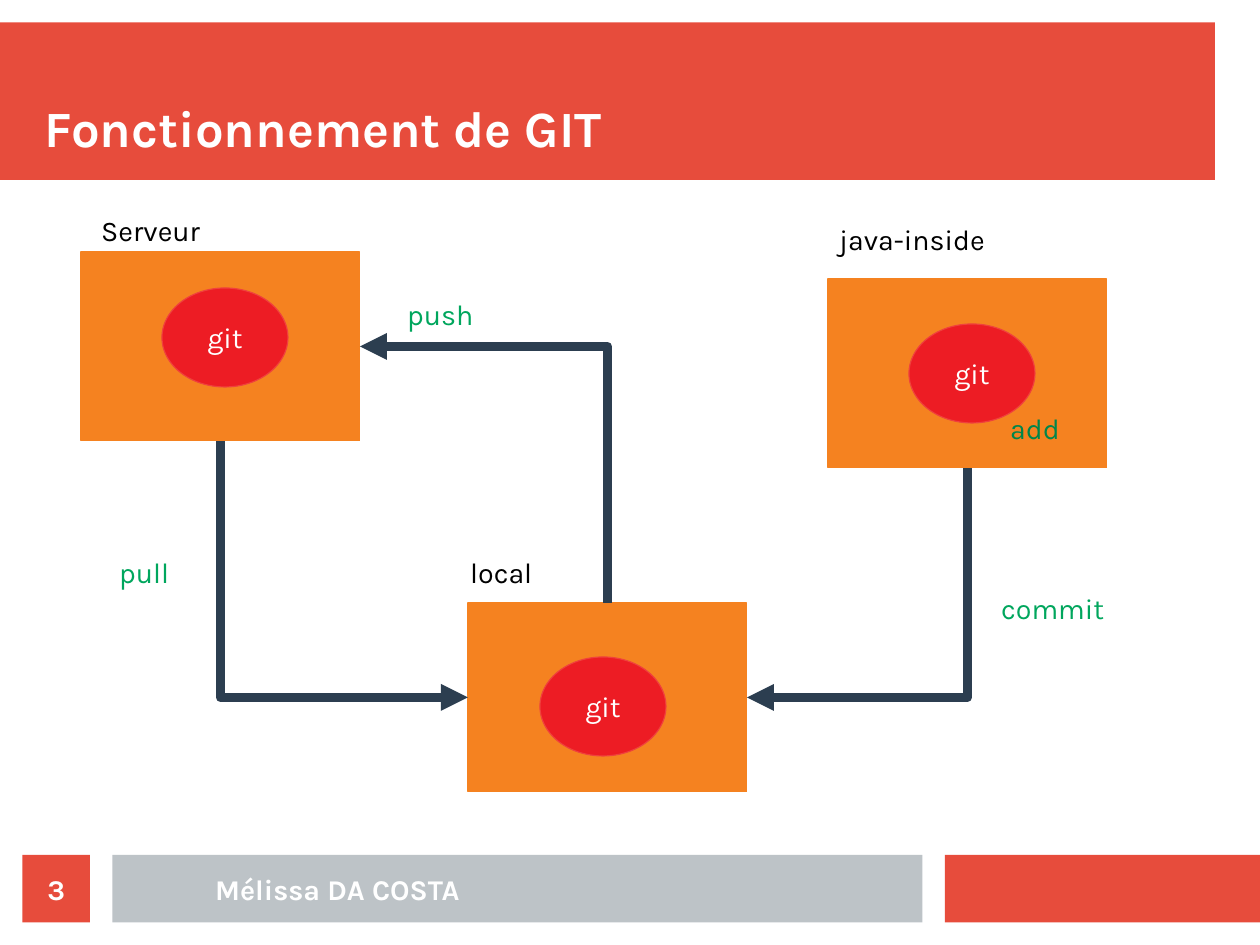
import pptx
import pptx.util
import pptx.dml.color
import pptx.enum.shapes
import pptx.enum.text
import pptx.oxml.ns
from dataclasses import dataclass
from lxml import etree

PX = 3600
SHAPE = pptx.enum.shapes.MSO_SHAPE
ALIGN = pptx.enum.text.PP_ALIGN
ANCHOR = pptx.enum.text.MSO_ANCHOR
AUTO = pptx.enum.text.MSO_AUTO_SIZE
qn = pptx.oxml.ns.qn


@dataclass(frozen=True)
class Theme:
    font: str = "Karla"
    title_size: int = 32
    body_size: int = 18
    arrow_width: float = 5.67
    banner: str = "E74C3C"
    footer: str = "BDC3C7"
    box: str = "F58220"
    git: str = "ED1C24"
    git_line: str = "EF413D"
    arrow: str = "2C3E50"
    command: str = "00A65D"
    command_on_box: str = "00864B"
    dark: str = "000000"
    light: str = "FFFFFF"


THEME = Theme()


def px(*values):
    return [pptx.util.Emu(v * PX) for v in values]


def rgb(color):
    return pptx.dml.color.RGBColor.from_string(color)


def write(shape, text, *, size=THEME.body_size, color=THEME.light, bold=False,
          align=ALIGN.LEFT, anchor=ANCHOR.TOP, inset=(25, 13), wrap=True,
          auto_size=AUTO.NONE):
    tf = shape.text_frame
    tf.word_wrap = wrap
    tf.auto_size = auto_size
    tf.vertical_anchor = anchor
    tf.margin_left = tf.margin_right = px(inset[0])[0]
    tf.margin_top = tf.margin_bottom = px(inset[1])[0]
    p = tf.paragraphs[0]
    p.alignment = align
    r = p.add_run()
    r.text = text
    r.font.name = THEME.font
    r.font.size = pptx.util.Pt(size)
    r.font.bold = bold
    r.font.color.rgb = rgb(color)


def add_block(s, kind, box, fill, line=None):
    sp = s.shapes.add_shape(kind, *px(*box))
    sp.shadow.inherit = False
    sp.fill.solid()
    sp.fill.fore_color.rgb = rgb(fill)
    if line:
        sp.line.color.rgb = rgb(line)
        sp.line.width = 0
    else:
        sp.line.fill.background()
    return sp


def add_label(s, text, box, color):
    sp = s.shapes.add_textbox(*px(*box))
    write(sp, text, color=color, auto_size=AUTO.SHAPE_TO_FIT_TEXT)


def add_repository(s, left, top, git_left, git_top):
    add_block(s, SHAPE.RECTANGLE, (left, top, 620, 420), THEME.box, THEME.box)
    sp = add_block(s, SHAPE.OVAL, (git_left, git_top, 280, 220), THEME.git, THEME.git_line)
    write(sp, "git", align=ALIGN.CENTER, anchor=ANCHOR.MIDDLE, wrap=False)


def add_elbow_arrow(s, source, target):
    elbow = pptx.enum.shapes.MSO_CONNECTOR.ELBOW
    cx = s.shapes.add_connector(elbow, *px(*target, *source))
    cx.line.color.rgb = rgb(THEME.arrow)
    cx.line.width = pptx.util.Pt(THEME.arrow_width)
    sp_pr = cx.element.spPr
    sp_pr.find(qn("a:prstGeom")).set("prst", "bentConnector2")
    ln = sp_pr.find(qn("a:ln"))
    etree.SubElement(ln, qn("a:round"))
    etree.SubElement(ln, qn("a:headEnd"), type="triangle")
    etree.SubElement(sp_pr, qn("a:effectLst"))


def add_title(s, text):
    title = s.shapes.title
    title.left, title.top, title.width, title.height = px(100, 100, 2600, 250)
    write(title, text, size=THEME.title_size, bold=True, anchor=ANCHOR.BOTTOM, inset=(0, 0))
    title.element.getparent().append(title.element)


def add_footer(s, author, number):
    sp = s.shapes.add_textbox(*px(300, 1900, 900, 150))
    page = add_block(s, SHAPE.RECTANGLE, (50, 1900, 150, 150), THEME.banner)
    for shape, text in ((sp, author), (page, number)):
        write(shape, text, bold=True, align=ALIGN.CENTER, anchor=ANCHOR.MIDDLE, inset=(0, 0))


def main():
    prs = pptx.Presentation()
    prs.slide_width, prs.slide_height = px(2800, 2100)
    s = prs.slides.add_slide(prs.slide_layouts[5])

    for box, fill in (
        ((0, 50, 2700, 350), THEME.banner),
        ((2100, 1900, 700, 150), THEME.banner),
        ((250, 1900, 1800, 150), THEME.footer),
    ):
        add_block(s, SHAPE.RECTANGLE, box, fill)
    add_title(s, "Fonctionnement de GIT")

    for place in (
        (180, 560, 360, 640),
        (1040, 1340, 1200, 1460),
        (1840, 620, 2020, 720),
    ):
        add_repository(s, *place)

    for source, target in (
        ((490, 980), (1040, 1550)),
        ((1350, 1340), (800, 770)),
        ((2150, 1040), (1660, 1550)),
    ):
        add_elbow_arrow(s, source, target)

    for text, box, color in (
        ("Serveur", (200, 460, 660, 112), THEME.dark),
        ("java-inside", (1840, 480, 660, 112), THEME.dark),
        ("local", (1020, 1220, 660, 112), THEME.dark),
        ("push", (880, 648, 420, 172), THEME.command),
        ("pull", (240, 1220, 320, 140), THEME.command),
        ("commit", (2200, 1300, 460, 112), THEME.command),
        ("add", (2220, 900, 240, 112), THEME.command_on_box),
    ):
        add_label(s, text, box, color)

    add_footer(s, "Mélissa DA COSTA", "3")
    prs.save("out.pptx")


if __name__ == "__main__":
    main()
